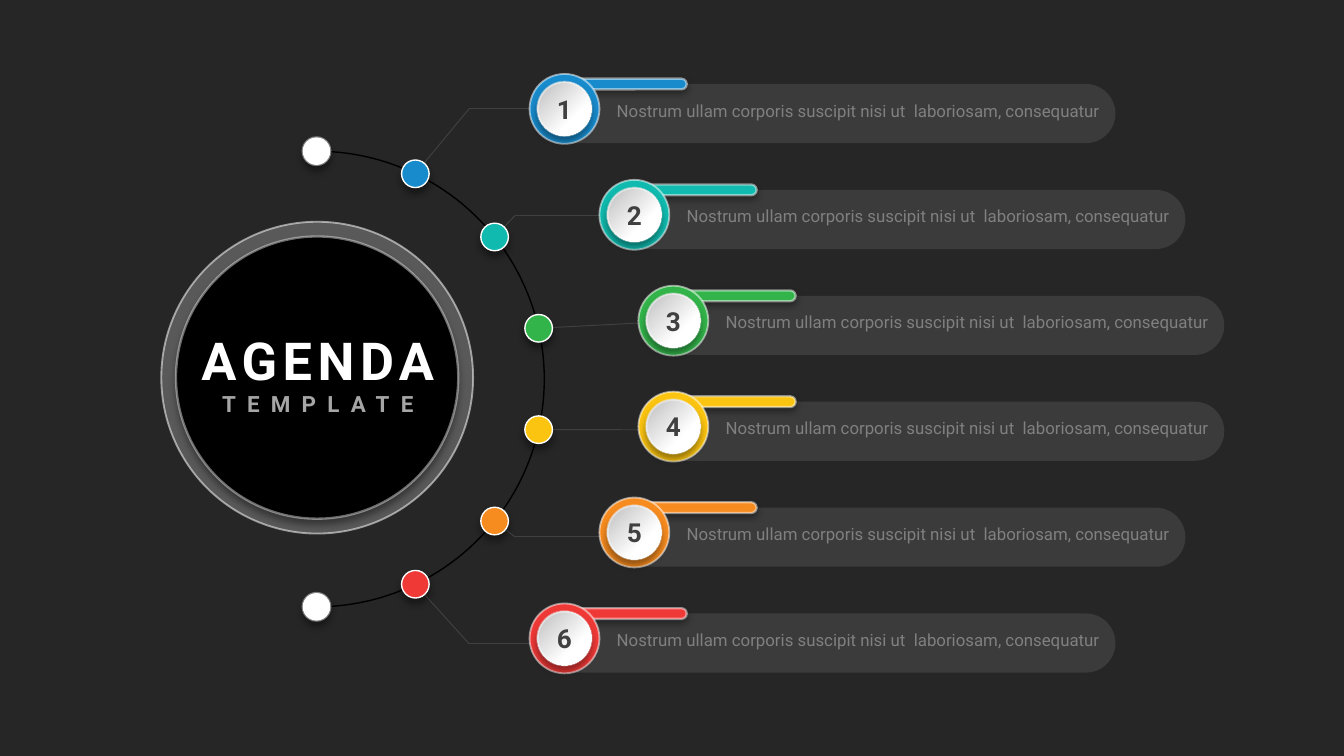
import math

import pptx
import pptx.dml.color
import pptx.enum.dml
import pptx.enum.shapes
import pptx.enum.text
import pptx.oxml
import pptx.oxml.ns
import pptx.util

SHAPE = pptx.enum.shapes.MSO_SHAPE
ALIGN = pptx.enum.text.PP_ALIGN
COLS, ROWS = 100, 56.25  # square grid cells over the slide
CELL = pptx.util.Inches(0.1)
COLORS = ["188BCC", "10BAAE", "32B44A", "FBC410", "F68B1F", "EF3937"]
ITEM_TEXT = "Nostrum ullam corporis suscipit nisi ut  laboriosam, consequatur"
ITEM_LEFTS = [39.4, 44.6, 47.5, 47.5, 44.6, 39.4]
ITEM_TOP, ITEM_STEP = 5.5, 7.88
LEAD_TOP, LEAD_STEP = 8.1, 7.96
ELBOWS = [34.9, 38.3, None, None, 38.3, 34.9]
LEAD_ENDS = [40.5, 46.1, 47.8, 47.8, 46.1, 40.5]


def grid(*cells):
    return [round(c * CELL) for c in cells]


def rgb(hex_color):
    return pptx.dml.color.RGBColor.from_string(hex_color)


def set_color(fill, hex_color, alpha=100):
    fill.solid()
    fill.fore_color.rgb = rgb(hex_color)
    if alpha < 100:
        clr = fill._xPr.find(".//" + pptx.oxml.ns.qn("a:srgbClr"))
        clr.append(pptx.oxml.parse_xml(
            f'<a:alpha {pptx.oxml.ns.nsdecls("a")} val="{alpha * 1000}"/>'))


def set_line(sp, hex_color, width, alpha=100):
    sp.line.width = pptx.util.Pt(width)
    set_color(sp.line.fill, hex_color, alpha)


def add_shadow(sp, dist):
    effects = sp._element.spPr.find(pptx.oxml.ns.qn("a:effectLst"))
    effects.append(pptx.oxml.parse_xml(
        f'<a:outerShdw {pptx.oxml.ns.nsdecls("a")} blurRad="{pptx.util.Pt(4)}" '
        f'dist="{pptx.util.Pt(dist)}" dir="5400000" algn="t" rotWithShape="0">'
        '<a:srgbClr val="000000"><a:alpha val="40000"/></a:srgbClr></a:outerShdw>'))


def add_shape(s, kind, box, fill, alpha=100, line=None, shadow=None):
    """line is (width, alpha) of a white outline; shadow is its distance."""
    sp = s.shapes.add_shape(kind, *grid(*box))
    sp.shadow.inherit = False
    if kind == SHAPE.ROUNDED_RECTANGLE:
        sp.adjustments[0] = 0.5
    set_color(sp.fill, fill, alpha)
    if line:
        set_line(sp, "FFFFFF", *line)
    else:
        sp.line.fill.background()
    if shadow:
        add_shadow(sp, shadow)
    return sp


def write(p, text, size, color, bold=False, align=ALIGN.LEFT, spacing=0):
    p.alignment = align
    p.font.name = "Roboto"
    p.font.size = pptx.util.Pt(size)
    p.font.bold = bold
    p.font.color.rgb = rgb(color)
    r = p.add_run()
    r.text = text
    if spacing:
        r._r.get_or_add_rPr().set("spc", str(spacing * 100))


def add_text_box(s, box):
    tf = s.shapes.add_textbox(*grid(*box)).text_frame
    tf.word_wrap = True
    return tf


def arc_points(box, count):
    """Evenly spaced points on the right half circle that fills the box."""
    x, y, w, h = box
    angles = [math.pi * i / (count - 1) for i in range(count)]
    return [(x + w * math.sin(a), y + h / 2 * (1 - math.cos(a))) for a in angles]


def add_leaders(s, box):
    dots = arc_points(box, len(COLORS) + 2)[1:-1]
    for i, (dot, elbow, end) in enumerate(zip(dots, ELBOWS, LEAD_ENDS)):
        y = LEAD_TOP + i * LEAD_STEP
        stops = [dot] + ([(elbow, y)] if elbow else []) + [(end, y)]
        for a, b in zip(stops, stops[1:]):
            line = s.shapes.add_connector(
                pptx.enum.shapes.MSO_CONNECTOR.STRAIGHT, *grid(*a, *b))
            line._element.spPr.append(pptx.oxml.parse_xml(
                f'<a:effectLst {pptx.oxml.ns.nsdecls("a")}/>'))
            set_line(line, "404040", 0.5)


def add_timeline(s, box):
    # Half circle
    points = [grid(*p) for p in arc_points(box, 91)]
    builder = s.shapes.build_freeform(*points[0])
    builder.add_line_segments(points[1:], close=False)
    sp = builder.convert_to_shape()
    sp.shadow.inherit = False
    sp.fill.background()
    set_line(sp, "000000", 0.75)
    # Dots, white at both ends
    size = 2.05
    fills = ["FFFFFF", *COLORS, "FFFFFF"]
    for (x, y), fill in zip(arc_points(box, len(fills)), fills):
        line = (1.25, 42) if fill == "FFFFFF" else (0.75,)
        add_shape(s, SHAPE.OVAL, (x - size / 2, y - size / 2, size, size),
                  fill, line=line, shadow=3)


def add_hub(s, box):
    x, y, w, h = box
    rim = 1.1
    add_shape(s, SHAPE.OVAL, box, "595959", line=(1, 52))
    add_shape(s, SHAPE.OVAL, (x + rim, y + rim, w - 2 * rim, h - 2 * rim),
              "000000", line=(1.25, 42), shadow=3)
    tf = add_text_box(s, (x - 0.3, y + 7.4, w + 0.7, 7.7))
    write(tf.paragraphs[0], "AGENDA", 28, "FFFFFF", True, ALIGN.CENTER, 3)
    write(tf.add_paragraph(), "TEMPLATE", 12, "A6A6A6", True, ALIGN.CENTER, 6)


def add_item(s, box, number, color):
    x, y, w, h = box
    # Pill and coloured tab
    add_shape(s, SHAPE.ROUNDED_RECTANGLE, (x + 0.6, y + 0.75, w - 0.6, 4.4),
              "595959", 42)
    add_shape(s, SHAPE.ROUNDED_RECTANGLE, (x + 2.2, y + 0.35, 9.5, 0.8),
              color, line=(1.25, 48), shadow=2)
    # Number badge
    add_shape(s, SHAPE.OVAL, (x, y, h, h), color, line=(1, 52))
    sp = add_shape(s, SHAPE.OVAL, (x + 0.6, y + 0.6, h - 1.2, h - 1.2),
                   "FFFFFF", line=(1.25, 42), shadow=3)
    sp.fill.gradient()
    sp.fill.gradient_angle = 315
    for stop, (position, shade) in zip(sp.fill.gradient_stops,
                                       [(0.09, "C7C7C7"), (0.68, "FFFFFF")]):
        stop.position = position
        stop.color.rgb = rgb(shade)
    tf = sp.text_frame
    tf.margin_left = tf.margin_right = tf.margin_top = tf.margin_bottom = 0
    tf.vertical_anchor = pptx.enum.text.MSO_ANCHOR.MIDDLE
    write(tf.paragraphs[0], str(number), 14, "404040", True, ALIGN.CENTER)
    # Description
    tf = add_text_box(s, (x + 5.5, y + 1.2, w - 5.5, 4.2))
    tf.margin_left = tf.margin_right = tf.margin_top = tf.margin_bottom = CELL
    write(tf.paragraphs[0], ITEM_TEXT, 9, "808080")


def main():
    prs = pptx.Presentation()
    prs.slide_width, prs.slide_height = grid(COLS, ROWS)
    s = prs.slides.add_slide(prs.slide_layouts[6])
    set_color(s.background.fill, "262626")

    arc_box = (23.55, 11.25, 16.95, 33.9)
    add_leaders(s, arc_box)
    add_timeline(s, arc_box)
    add_hub(s, (12, 16.5, 23.2, 23.2))
    for i, (left, color) in enumerate(zip(ITEM_LEFTS, COLORS)):
        add_item(s, (left, ITEM_TOP + i * ITEM_STEP, 43.6, 5.2), i + 1, color)

    prs.save("out.pptx")


if __name__ == "__main__":
    main()
